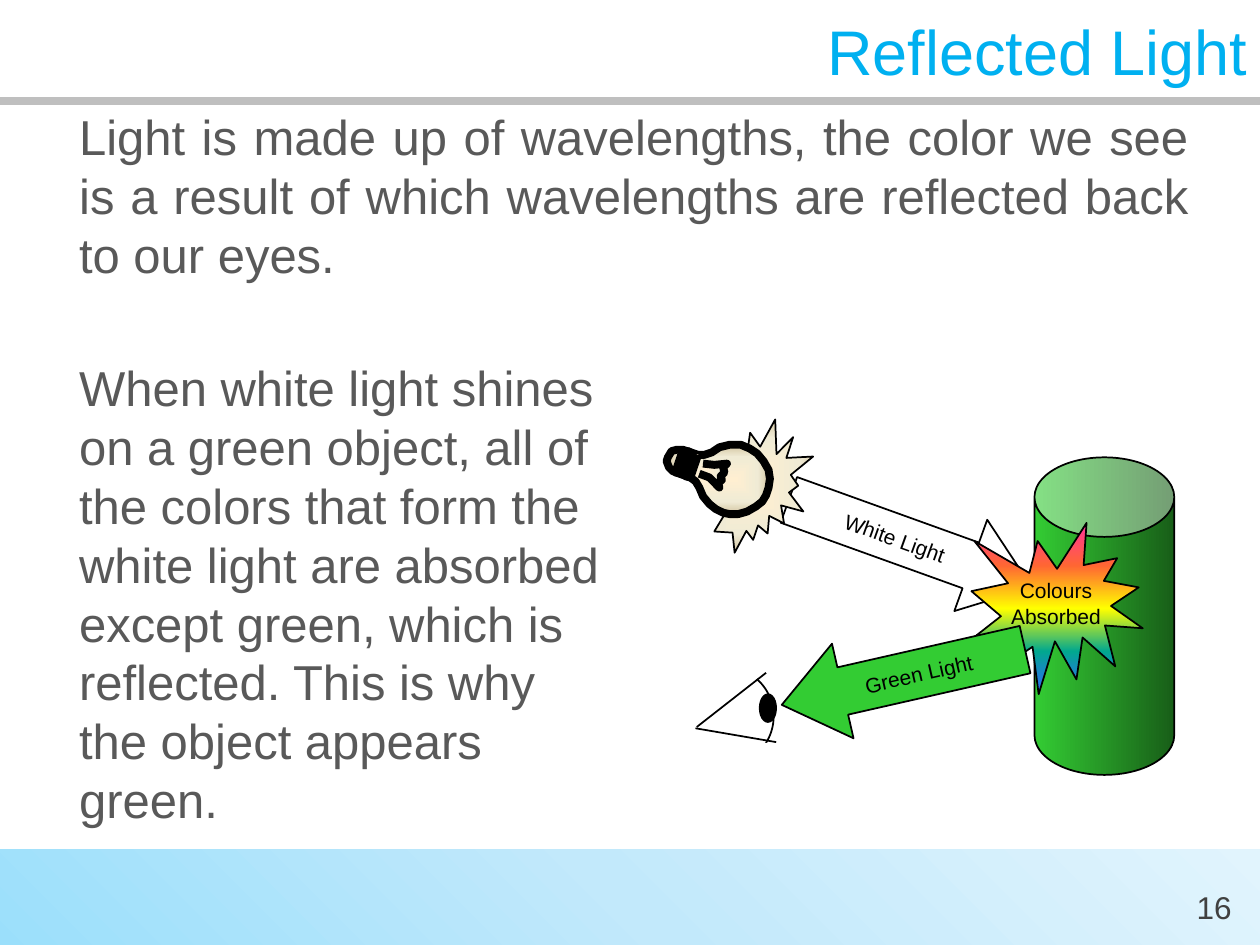
from dataclasses import dataclass
from typing import Any

import lxml.etree
import pptx
import pptx.dml.color
import pptx.enum.shapes
import pptx.enum.text
import pptx.oxml.ns
import pptx.util

Inches = pptx.util.Inches
Pt = pptx.util.Pt
Kind = pptx.enum.shapes.MSO_SHAPE
Align = pptx.enum.text.PP_ALIGN
Anchor = pptx.enum.text.MSO_ANCHOR
qn = pptx.oxml.ns.qn

INK = {
    "black": "000000", "white": "FFFFFF", "title": "00B0F0", "body": "595959",
    "page": "404040", "rule": "BFBFBF", "green": "33CC33", "forest": "185E18",
    "sky": "9BDFFB", "haze": "C2E9FB", "mist": "E1F4FD",
    "pink": "FF3399", "coral": "FF6633", "yellow": "FFFF00", "teal": "01A78F", "blue": "3366FF",
    "cream": "FFEFD1", "ivory": "F0EBD5", "sand": "D1C39F",
}


@dataclass(frozen=True)
class Blend:
    stops: tuple[tuple[int, str], ...]
    angle: int = 0
    focus: str = ""


@dataclass(frozen=True)
class Part:
    kind: Any
    box: tuple[float, float, float, float]
    fill: str | Blend | None = None
    line: float = 1
    turn: float = 0
    adjust: tuple[float, ...] = ()
    text: str = ""
    pad: float = 0.1
    wrap: bool = False


@dataclass(frozen=True)
class Stroke:
    start: tuple[float, float]
    end: tuple[float, float]
    ink: str = "black"
    width: float = 1


def rgb(name: str) -> Any:
    return pptx.dml.color.RGBColor.from_string(INK[name])


def blend(shape: Any, look: Blend) -> None:
    shape.fill.gradient()
    grad = shape._element.spPr.find(qn("a:gradFill"))
    for child in list(grad):
        grad.remove(child)
    stops = lxml.etree.SubElement(grad, qn("a:gsLst"))
    for place, name in look.stops:
        stop = lxml.etree.SubElement(stops, qn("a:gs"), pos=str(place * 1000))
        lxml.etree.SubElement(stop, qn("a:srgbClr"), val=INK[name])
    if look.focus:
        path = lxml.etree.SubElement(grad, qn("a:path"), path=look.focus)
        lxml.etree.SubElement(path, qn("a:fillToRect"), l="50000", t="50000", r="50000", b="50000")
    else:
        lxml.etree.SubElement(grad, qn("a:lin"), ang=str(look.angle * 60000), scaled="0")


def paint(shape: Any, fill: str | Blend | None, line: float) -> None:
    shape.shadow.inherit = False
    if fill is None:
        shape.fill.background()
    elif isinstance(fill, Blend):
        blend(shape, fill)
    else:
        shape.fill.solid()
        shape.fill.fore_color.rgb = rgb(fill)
    if line:
        shape.line.color.rgb = rgb("black")
        shape.line.width = Pt(line)
    else:
        shape.line.fill.background()


def write(shape: Any, text: str, *, size: float = 12, ink: str = "black", align: Any = Align.CENTER,
          anchor: Any = Anchor.MIDDLE, wrap: bool = True, before: float = 0,
          pad: tuple[float, float] = (0.1, 0.05)) -> None:
    frame = shape.text_frame
    frame.word_wrap = wrap
    frame.vertical_anchor = anchor
    frame.margin_left = frame.margin_right = Inches(pad[0])
    frame.margin_top = frame.margin_bottom = Inches(pad[1])
    para = frame.paragraphs[0]
    para.alignment = align
    para.space_before = Pt(before)
    run = para.add_run()
    run.text = text
    run.font.name = "Arial"
    run.font.size = Pt(size)
    run.font.color.rgb = rgb(ink)


def label(slide: Any, box: tuple[float, ...], text: str, **form: Any) -> None:
    write(slide.shapes.add_textbox(*map(Inches, box)), text, **form)


def draw(slide: Any, part: Part) -> None:
    shape = slide.shapes.add_shape(part.kind, *map(Inches, part.box))
    for spot, value in enumerate(part.adjust):
        shape.adjustments[spot] = value
    shape.rotation = part.turn
    paint(shape, part.fill, part.line)
    if part.text:
        write(shape, part.text, wrap=part.wrap, pad=(part.pad, part.pad / 2))


def rule(slide: Any, stroke: Stroke) -> None:
    line = slide.shapes.add_connector(pptx.enum.shapes.MSO_CONNECTOR.STRAIGHT,
                                      *map(Inches, stroke.start + stroke.end))
    line.line.color.rgb = rgb(stroke.ink)
    line.line.width = Pt(stroke.width)
    lxml.etree.SubElement(line._element.spPr, qn("a:effectLst"))


def trace(slide: Any, paths: list, fill: Blend, close: bool) -> None:
    first, *rest = [[(Inches(x), Inches(y)) for x, y in path] for path in paths]
    pen = slide.shapes.build_freeform(*first[0])
    pen.add_line_segments(first[1:], close=close)
    for path in rest:
        pen.move_to(*path[0])
        pen.add_line_segments(path[1:], close=close)
    paint(pen.convert_to_shape(), fill, 4.5)


BAR = Blend(((0, "sky"), (50, "haze"), (100, "mist")), 315)
TUBE = Blend(((0, "green"), (100, "forest")))
BURST = Blend(((0, "pink"), (25, "coral"), (50, "yellow"), (75, "teal"), (100, "blue")), 90)
WARM = ((0, "cream"), (65, "ivory"), (100, "sand"))
GLOW = Blend(WARM, focus="shape")
GLASS = Blend(WARM, focus="rect")

SCENE = [
    Part(Kind.CAN, (8.21, 3.63, 1.11, 2.52), TUBE, adjust=(0.569,)),
    Part(Kind.RIGHT_ARROW, (6.2, 3.93, 2.05, 0.77), "white", turn=19.8, adjust=(0.5, 0.669), text="White Light"),
    Part(Kind.EXPLOSION1, (7.71, 4.15, 1.36, 1.36), BURST, text="Colours Absorbed", pad=0, wrap=True),
    Part(Kind.LEFT_ARROW, (6.18, 4.99, 1.98, 0.77), "green", turn=347.2, adjust=(0.5, 0.645), text="Green Light"),
    Part(Kind.EXPLOSION2, (5.59, 3.34, 0.88, 1.03), GLOW, turn=355.6),
]
EYE = [
    Part(Kind.OVAL, (5.35, 5.29, 0.79, 0.79)),
    Part(Kind.RECTANGLE, (5.03, 5.82, 1.24, 0.4), "white", line=0, turn=10.5),
    Part(Kind.RECTANGLE, (5.1, 5.15, 1.24, 0.4), "white", line=0, turn=323.8),
    Stroke((5.53, 5.77), (6.08, 5.34)),
    Stroke((5.52, 5.78), (6.16, 5.89)),
    Part(Kind.OVAL, (6.03, 5.51, 0.13, 0.22), "black"),
]
BULB = [
    (5.3, 3.63), (5.29, 3.66), (5.31, 3.71), (5.34, 3.74), (5.37, 3.75), (5.42, 3.77),
    (5.48, 3.79), (5.52, 3.82), (5.55, 3.87), (5.58, 3.94), (5.63, 4), (5.68, 4.04),
    (5.74, 4.07), (5.79, 4.08), (5.86, 4.08), (5.93, 4.06), (6, 4.02), (6.05, 3.98),
    (6.08, 3.93), (6.1, 3.87), (6.11, 3.8), (6.1, 3.73), (6.06, 3.66), (6.01, 3.6),
    (5.95, 3.56), (5.88, 3.53), (5.79, 3.53), (5.71, 3.55), (5.65, 3.59), (5.59, 3.61),
    (5.54, 3.61), (5.48, 3.59), (5.42, 3.57), (5.37, 3.57), (5.33, 3.58),
]
WIRE = [
    [(5.58, 3.68), (5.67, 3.69), (5.77, 3.68), (5.74, 3.71), (5.75, 3.75), (5.72, 3.78),
     (5.73, 3.81), (5.7, 3.83), (5.71, 3.87), (5.63, 3.79), (5.55, 3.76)],
    [(5.54, 3.61), (5.48, 3.79), (5.44, 3.78), (5.5, 3.6), (5.46, 3.58), (5.4, 3.76),
     (5.36, 3.75), (5.42, 3.57)],
]


def main() -> None:
    deck = pptx.Presentation()
    deck.slide_width, deck.slide_height = Inches(10), Inches(7.5)
    slide = deck.slides.add_slide(deck.slide_layouts[6])
    prose = dict(size=28, ink="body", anchor=Anchor.TOP, before=5.6)

    draw(slide, Part(Kind.RECTANGLE, (0, 6.74, 10, 0.84), BAR, line=0))
    label(slide, (9.31, 7, 0.65, 0.4), "16", size=18, ink="page", anchor=Anchor.TOP)
    rule(slide, Stroke((0, 0.8), (10, 0.8), "rule", 4.5))
    label(slide, (0, 0, 10, 0.8), "Reflected Light", size=36, ink="title", align=Align.RIGHT)
    label(slide, (0.53, 0.8, 9, 5.94), "Light is made up of wavelengths, the color we see is a result of "
          "which wavelengths are reflected back to our eyes.", align=Align.JUSTIFY, **prose)
    for part in SCENE:
        draw(slide, part)
    trace(slide, [BULB], GLASS, True)
    trace(slide, WIRE, GLASS, False)
    for part in EYE:
        (rule if isinstance(part, Stroke) else draw)(slide, part)
    label(slide, (0.53, 2.79, 4.33, 3.91), "When white light shines on a green object, all of the colors "
          "that form the white light are absorbed except green, which is reflected. This is why the "
          "object appears green.", align=Align.LEFT, **prose)
    deck.save("out.pptx")


if __name__ == "__main__":
    main()
